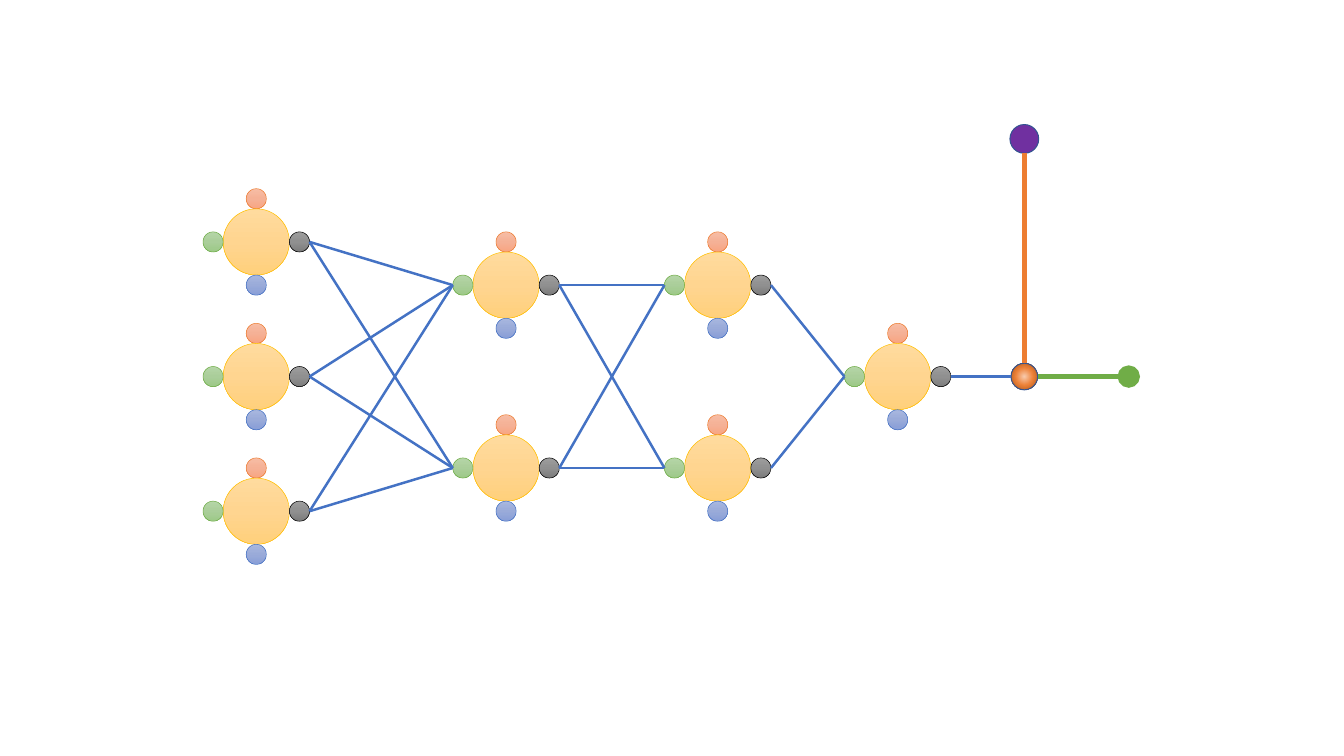
import itertools

import pptx
import pptx.dml.color
import pptx.enum.shapes
import pptx.oxml
import pptx.oxml.ns
import pptx.util

PX = 9144  # EMU per px, 100 px to the inch
PAGE_WIDTH, PAGE_HEIGHT = 1867, 1050

# Network layers: centre x, then the centre y of each neuron
LAYERS = [
    (356, (336, 523, 710)),
    (703, (396, 650)),
    (997, (396, 650)),
    (1247, (523,)),
]
BODY, PORT, REACH = 92, 28, 60  # diameters, and body centre to port centre
PORTS = [
    ("top", 0, -REACH),
    ("body", 0, 0),
    ("bottom", 0, REACH),
    ("input", -REACH, 0),
    ("output", REACH, 0),
]
OUTPUT_NODE = (1423, 523, 37)  # centre x, centre y, diameter
TARGET_NODE = (1423, 193, 40)
RESULT_X = 1568

THEME = {
    # part: (gradient stops, outline)
    "top": ([(0, "F7BDA5"), (50, "F5B196"), (100, "F8A582")], "ED7D31"),
    "body": ([(0, "FFDB9E"), (50, "FFD590"), (100, "FFD07C")], "FFC000"),
    "bottom": ([(0, "A8B7DF"), (50, "9AABD9"), (100, "889ED7")], "4472C4"),
    "input": ([(0, "B5D5A7"), (50, "AACE9A"), (100, "9CC987")], "70AD47"),
    "output": ([(0, "9D9D9D"), (50, "909090"), (100, "7C7C7C")], "000000"),
    "output node": ([(0, "F8CBAD"), (46, "EE843B"), (100, "9E480E")], "325491"),
    "target node": ([(0, "7030A0")], "325491"),
    "link": "4472C4",
    "error": "ED7D31",
    "result": "70AD47",
    "thin": 0.5,
    "outline": 1,
    "link width": 2.5,
    "thick": 4.5,
}
LINEAR = '<a:lin ang="5400000" scaled="0"/>'
RADIAL = ('<a:path path="circle">'
          '<a:fillToRect l="50000" t="50000" r="50000" b="50000"/></a:path>')


def color(name):
    return pptx.dml.color.RGBColor.from_string(name)


def paint_gradient(shape, stops, direction):
    shape.fill.background()
    marks = "".join(
        f'<a:gs pos="{position * 1000}"><a:srgbClr val="{shade}"/></a:gs>'
        for position, shade in stops)
    gradient = pptx.oxml.parse_xml(
        f'<a:gradFill {pptx.oxml.ns.nsdecls("a")} rotWithShape="1">'
        f"<a:gsLst>{marks}</a:gsLst>{direction}</a:gradFill>")
    properties = shape._element.spPr
    properties.replace(properties.find(pptx.oxml.ns.qn("a:noFill")), gradient)


def add_circle(shapes, part, x, y, size, width, direction=LINEAR):
    """Draw a themed circle centred on x, y."""
    stops, outline = THEME[part]
    circle = shapes.add_shape(
        pptx.enum.shapes.MSO_SHAPE.OVAL,
        *(round(length * PX) for length in (x - size / 2, y - size / 2, size, size)))
    circle.shadow.inherit = False
    if len(stops) > 1:
        paint_gradient(circle, stops, direction)
    else:
        circle.fill.solid()
        circle.fill.fore_color.rgb = color(stops[0][1])
    circle.line.color.rgb = color(outline)
    circle.line.width = pptx.util.Pt(width)


def add_neuron(shapes, x, y):
    neuron = shapes.add_group_shape()
    for part, shift_x, shift_y in PORTS:
        size = BODY if part == "body" else PORT
        add_circle(neuron.shapes, part, x + shift_x, y + shift_y, size, THEME["thin"])


def add_line(shapes, start, end, shade, width):
    line = shapes.add_connector(
        pptx.enum.shapes.MSO_CONNECTOR.STRAIGHT,
        *(round(length * PX) for length in (*start, *end)))
    line.line.color.rgb = color(shade)
    line.line.width = pptx.util.Pt(width)
    line._element.spPr.append(
        pptx.oxml.parse_xml(f'<a:effectLst {pptx.oxml.ns.nsdecls("a")}/>'))
    return line


def main():
    deck = pptx.Presentation()
    deck.slide_width = PAGE_WIDTH * PX
    deck.slide_height = PAGE_HEIGHT * PX
    shapes = deck.slides.add_slide(deck.slide_layouts[6]).shapes

    for x, rows in LAYERS:
        for y in rows:
            add_neuron(shapes, x, y)

    edge = REACH + PORT // 2
    link = THEME["link"], THEME["link width"]
    for (left, starts), (right, ends) in itertools.pairwise(LAYERS):
        for start, end in itertools.product(starts, ends):
            add_line(shapes, (left + edge, start), (right - edge, end), *link)

    x, y, size = OUTPUT_NODE
    target_x, target_y, target_size = TARGET_NODE
    add_circle(shapes, "output node", x, y, size, THEME["outline"], RADIAL)
    add_line(shapes, (LAYERS[-1][0] + edge, y), (x - size / 2, y), *link)
    add_circle(shapes, "target node", target_x, target_y, target_size, THEME["outline"])
    add_line(shapes, (target_x, target_y + target_size / 2), (x, y - size / 2),
             THEME["error"], THEME["thick"])
    result = add_line(shapes, (x + size / 2, y), (RESULT_X, y),
                      THEME["result"], THEME["thick"])
    result.line._get_or_add_ln().append(pptx.oxml.parse_xml(
        f'<a:tailEnd {pptx.oxml.ns.nsdecls("a")} type="oval" w="lg" len="lg"/>'))

    deck.save("out.pptx")


if __name__ == "__main__":
    main()
